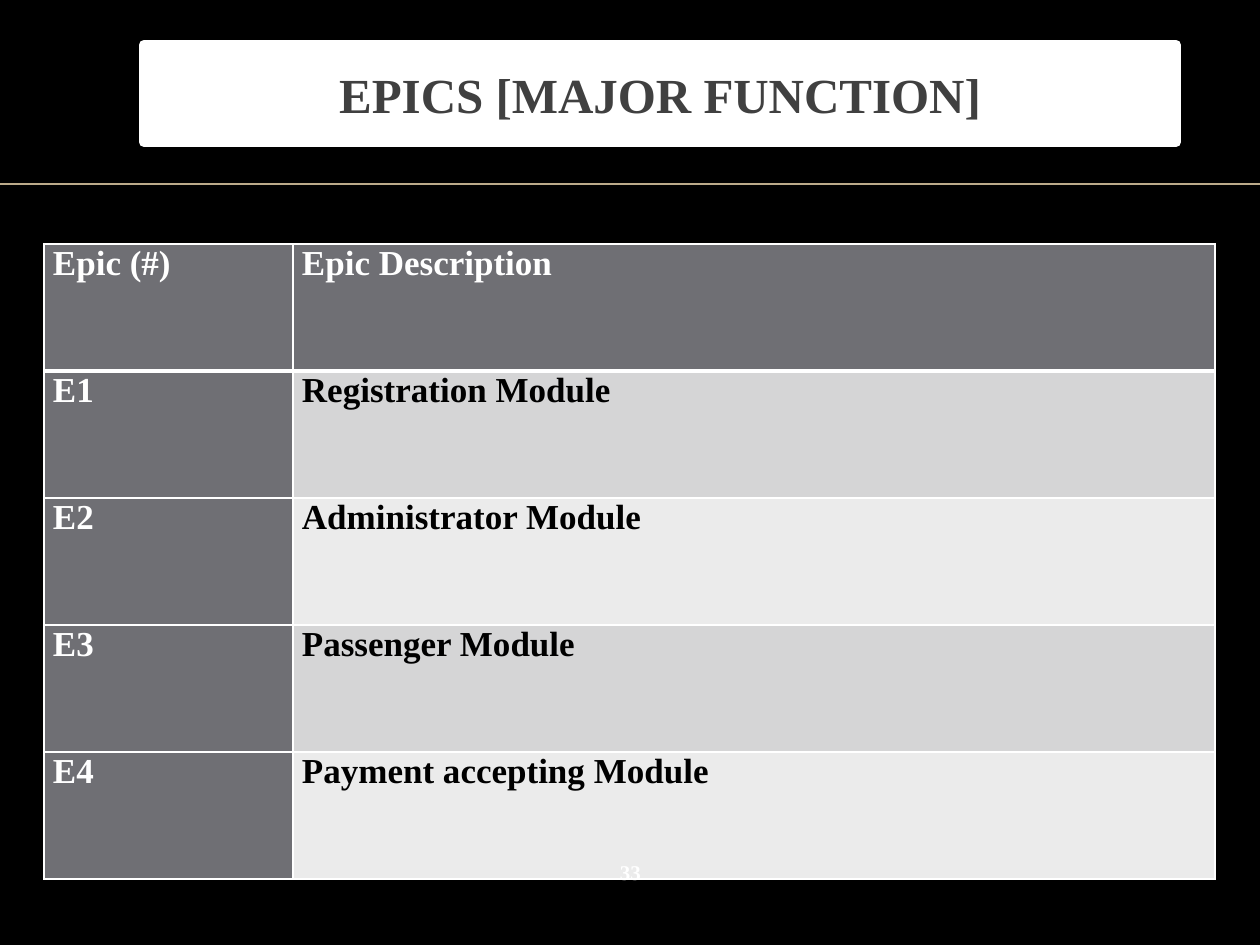
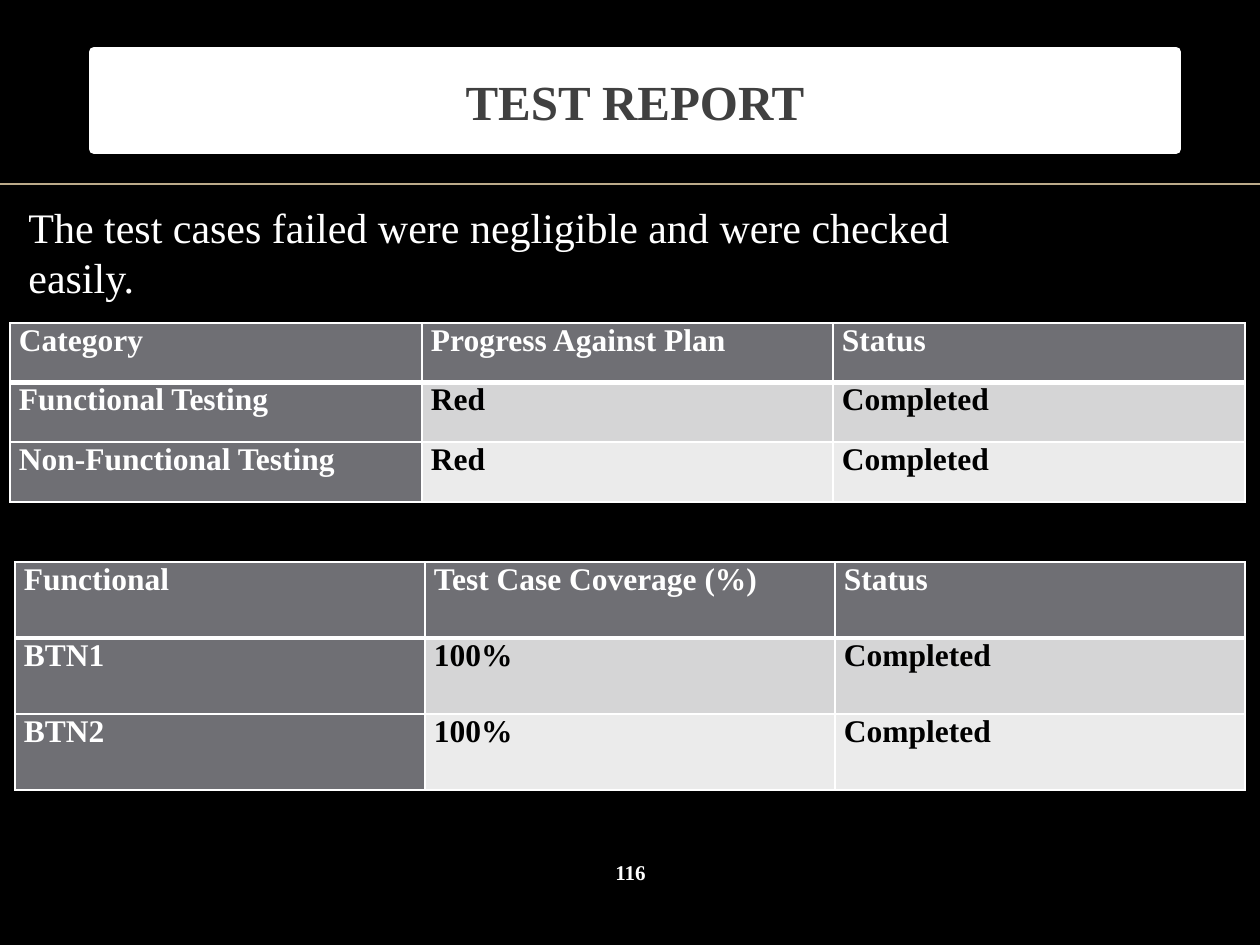
import pptx
import pptx.dml.color
import pptx.enum.shapes
import pptx.enum.text
import pptx.oxml
import pptx.oxml.ns
import pptx.util

PX = 914400 / 126
SLIDE_SIZE = (1260, 945)
RULE_Y = 184
NUMBER_BOX = (557, 851, 147, 42)

THEME = {
    "font": "Times New Roman",
    "background": "000000",
    "rule": "BBAA8A",
    "white": "FFFFFF",
    "title": "404040",
    "header": "6F6F74",
    "bands": ("D5D5D6", "EBEBEB"),
    "body": "000000",
    "title_size": 28,
    "note_size": 24,
    "number_size": 12,
}

SLIDES = [
    {
        "title": "EPICS [MAJOR FUNCTION]",
        "title_box": (144, 45, 1032, 97),
        "number": "33",
        "tables": [
            {
                "position": (44, 244),
                "columns": (249, 922),
                "height": 635,
                "size": 20,
                "rows": [
                    ("Epic (#)", "Epic Description"),
                    ("E1", "Registration Module"),
                    ("E2", "Administrator Module"),
                    ("E3", "Passenger Module"),
                    ("E4", "Payment accepting Module"),
                ],
            },
        ],
    },
    {
        "title": "TEST REPORT",
        "title_box": (94, 52, 1082, 97),
        "number": "116",
        "note": "The test cases failed were negligible and were checked easily.",
        "note_box": (16, 220, 1017, 63),
        "tables": [
            {
                "position": (10, 323),
                "columns": (412, 411, 412),
                "height": 179,
                "size": 18,
                "rows": [
                    ("Category", "Progress Against Plan", "Status"),
                    ("Functional Testing", "Red", "Completed"),
                    ("Non-Functional Testing", "Red", "Completed"),
                ],
            },
            {
                "position": (15, 562),
                "columns": (410, 410, 410),
                "height": 228,
                "size": 18,
                "rows": [
                    ("Functional", "Test Case Coverage (%)", "Status"),
                    ("BTN1", "100%", "Completed"),
                    ("BTN2", "100%", "Completed"),
                ],
            },
        ],
    },
]


def px(*lengths):
    return [pptx.util.Emu(round(length * PX)) for length in lengths]


def rgb(color):
    return pptx.dml.color.RGBColor.from_string(color)


def set_all(target, values):
    for name, value in values.items():
        setattr(target, name, value)


def write(frame, text, size, color, bold=True, align=None):
    paragraph = frame.paragraphs[0]
    paragraph.text = text
    paragraph.alignment = align
    font = paragraph.runs[0].font
    set_all(font, {"name": THEME["font"], "size": pptx.util.Pt(size), "bold": bold})
    font.color.rgb = rgb(color)


def add_rule(slide):
    left, y, right = px(0, RULE_Y, SLIDE_SIZE[0])
    rule = slide.shapes.add_connector(
        pptx.enum.shapes.MSO_CONNECTOR.STRAIGHT, left, y, right, y
    )
    rule.line.color.rgb = rgb(THEME["rule"])
    rule.line.width = pptx.util.Pt(1)
    properties = rule._element.spPr
    properties.append(pptx.oxml.parse_xml(
        f'<a:effectLst {pptx.oxml.ns.nsdecls("a")}/>'
    ))


def add_title(slide, text, box):
    shape = slide.shapes.add_shape(
        pptx.enum.shapes.MSO_SHAPE.RECTANGLE, *px(*box)
    )
    shape.shadow.inherit = False
    shape.fill.solid()
    shape.fill.fore_color.rgb = rgb(THEME["white"])
    shape.line.color.rgb = rgb(THEME["white"])
    shape.line.width = pptx.util.Pt(6)
    shape.text_frame.vertical_anchor = pptx.enum.text.MSO_ANCHOR.MIDDLE
    write(shape.text_frame, text, THEME["title_size"], THEME["title"],
          align=pptx.enum.text.PP_ALIGN.CENTER)


def add_text(slide, text, box, size, margin=None, **style):
    frame = slide.shapes.add_textbox(*px(*box)).text_frame
    set_all(frame, {
        "word_wrap": True,
        "vertical_anchor": pptx.enum.text.MSO_ANCHOR.MIDDLE,
    })
    if margin is not None:
        set_all(frame, {f"margin_{side}": margin
                        for side in ("left", "top", "right", "bottom")})
    write(frame, text, size, THEME["white"], **style)


def set_borders(cell, row):
    """Draw white cell edges, thick between the header and the first row."""
    widths = {"L": 1, "R": 1, "T": 3 if row == 1 else 1, "B": 3 if row == 0 else 1}
    properties = cell._tc.get_or_add_tcPr()
    for side, width in widths.items():
        properties.append(pptx.oxml.parse_xml(
            f'<a:ln{side} {pptx.oxml.ns.nsdecls("a")} w="{pptx.util.Pt(width)}">'
            f'<a:solidFill><a:srgbClr val="{THEME["white"]}"/></a:solidFill>'
            f'</a:ln{side}>'
        ))


def add_table(slide, content):
    rows, columns = content["rows"], content["columns"]
    table = slide.shapes.add_table(
        len(rows), len(columns),
        *px(*content["position"], sum(columns), content["height"]),
    ).table
    table.horz_banding = False
    side_margin, = px(9)
    for column, width in zip(table.columns, px(*columns)):
        column.width = width
    for row_index, texts in enumerate(rows):
        table.rows[row_index].height, = px(content["height"] / len(rows))
        for column_index, text in enumerate(texts):
            cell = table.cell(row_index, column_index)
            is_header = row_index == 0 or column_index == 0
            band = THEME["bands"][(row_index - 1) % 2]
            set_all(cell, {
                "margin_left": side_margin, "margin_right": side_margin,
                "margin_top": 0, "margin_bottom": 0,
            })
            set_borders(cell, row_index)
            cell.fill.solid()
            cell.fill.fore_color.rgb = rgb(THEME["header"] if is_header else band)
            write(cell.text_frame, text, content["size"],
                  THEME["white"] if is_header else THEME["body"])


def add_slide(presentation, content):
    slide = presentation.slides.add_slide(presentation.slide_layouts[6])
    slide.background.fill.solid()
    slide.background.fill.fore_color.rgb = rgb(THEME["background"])
    add_rule(slide)
    for table in content["tables"]:
        add_table(slide, table)
    add_title(slide, content["title"], content["title_box"])
    add_text(slide, content["number"], NUMBER_BOX, THEME["number_size"],
             margin=0, align=pptx.enum.text.PP_ALIGN.CENTER)
    if "note" in content:
        add_text(slide, content["note"], content["note_box"],
                 THEME["note_size"], bold=False)


def main():
    presentation = pptx.Presentation()
    presentation.slide_width, presentation.slide_height = px(*SLIDE_SIZE)
    for content in SLIDES:
        add_slide(presentation, content)
    presentation.save("out.pptx")


if __name__ == "__main__":
    main()
